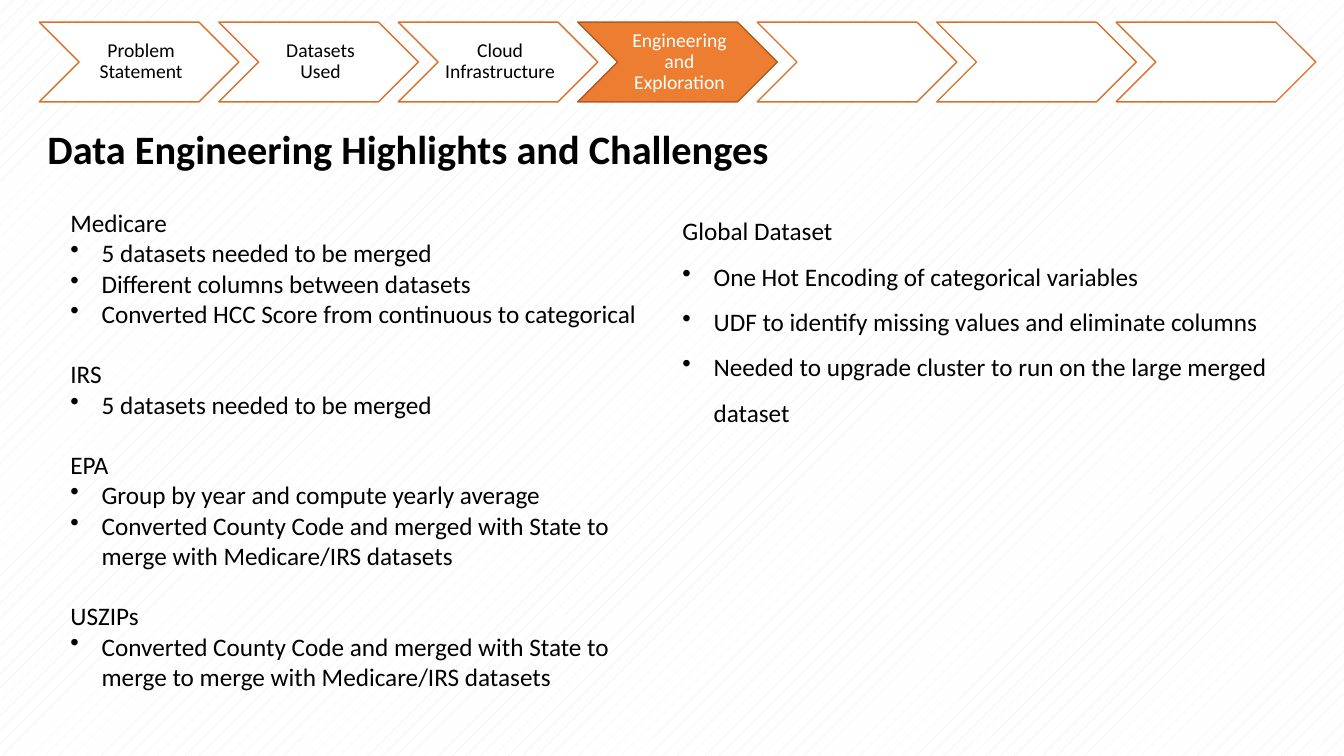
from lxml import etree
from pptx import Presentation
from pptx.dml.color import RGBColor
from pptx.enum.dml import MSO_PATTERN
from pptx.enum.shapes import MSO_SHAPE
from pptx.enum.text import MSO_ANCHOR, MSO_AUTO_SIZE, PP_ALIGN
from pptx.oxml.ns import qn
from pptx.util import Inches, Pt

CHEVRON = MSO_SHAPE.CHEVRON
DOTS = MSO_PATTERN.PERCENT_5
MIDDLE = MSO_ANCHOR.MIDDLE
GROW, FIXED = MSO_AUTO_SIZE.SHAPE_TO_FIT_TEXT, MSO_AUTO_SIZE.NONE
LEFT, CENTER = PP_ALIGN.LEFT, PP_ALIGN.CENTER

FONT = "Calibri"
COLORS = {
    "text": "000000",
    "white": "FFFFFF",
    "pattern": "E7E6E6",
    "step_line": "D7712C",
    "active_fill": "ED7D31",
    "active_line": "AF5C24",
}

STEPS = ["Problem Statement", "Datasets Used", "Cloud Infrastructure",
         "Engineering and Exploration", "", "", ""]
ACTIVE_STEP = 3

SOURCE_NOTES = [
    ("Medicare", ["5 datasets needed to be merged",
                  "Different columns between datasets",
                  "Converted HCC Score from continuous to categorical"]),
    ("IRS", ["5 datasets needed to be merged"]),
    ("EPA", ["Group by year and compute yearly average",
             "Converted County Code and merged with State to merge with Medicare/IRS datasets"]),
    ("USZIPs", ["Converted County Code and merged with State to merge to merge with Medicare/IRS datasets"]),
]
GLOBAL_NOTES = [
    ("Global Dataset", ["One Hot Encoding of categorical variables",
                        "UDF to identify missing values and eliminate columns",
                        "Needed to upgrade cluster to run on the large merged dataset"]),
]


def color(name):
    return RGBColor.from_string(COLORS[name])


def add_span(para, text, size, color_name="text", bold=False):
    span = para.add_run()
    span.text = text
    span.font.name = FONT
    span.font.size = Pt(size)
    span.font.bold = bold
    span.font.color.rgb = color(color_name)


def add_bullet(para):
    properties = para._p.get_or_add_pPr()
    properties.set("marL", str(Inches(0.31)))
    properties.set("indent", str(-Inches(0.31)))
    etree.SubElement(properties, qn("a:buChar")).set("char", "•")


def set_background(page):
    fill = page.background.fill
    fill.patterned()
    fill.pattern = DOTS
    fill.fore_color.rgb = color("pattern")
    fill.back_color.rgb = color("white")


def set_title(page, text):
    title = page.shapes.title
    title.left, title.top = Inches(0.37), Inches(1.23)
    title.width, title.height = Inches(7.69), Inches(0.55)
    frame = title.text_frame
    frame.auto_size = FIXED
    frame.vertical_anchor = MIDDLE
    para = frame.paragraphs[0]
    para.alignment = LEFT
    para.line_spacing = 0.9
    add_span(para, text, 28.8, bold=True)


def add_step(page, index, label):
    active = index == ACTIVE_STEP
    step = page.shapes.add_shape(CHEVRON, Inches(0.39 + 1.78 * index), Inches(0.22),
                                 Inches(1.98), Inches(0.79))
    step.shadow.inherit = False
    step.fill.solid()
    step.fill.fore_color.rgb = color("active_fill" if active else "white")
    step.line.color.rgb = color("active_line" if active else "step_line")
    step.line.width = Pt(1)
    if not label:
        return
    frame = step.text_frame
    frame.word_wrap = True
    frame.vertical_anchor = MIDDLE
    frame.margin_left = Inches(0.06)
    frame.margin_right = frame.margin_top = frame.margin_bottom = Inches(0.02)
    para = frame.paragraphs[0]
    para.alignment = CENTER
    para.line_spacing = 0.9
    add_span(para, label, 14, "white" if active else "text")


def add_notes_box(page, left, top, height, groups, line_spacing):
    box = page.shapes.add_textbox(Inches(left), Inches(top), Inches(6.17), Inches(height))
    frame = box.text_frame
    frame.word_wrap = True
    frame.auto_size = GROW
    for number, (heading, points) in enumerate(groups):
        para = frame.add_paragraph() if number else frame.paragraphs[0]
        para.line_spacing = line_spacing
        if number:
            para.space_before = Pt(21.6)
        add_span(para, heading, 18)
        for point in points:
            para = frame.add_paragraph()
            para.line_spacing = line_spacing
            add_bullet(para)
            add_span(para, point, 18)


def main():
    deck = Presentation()
    deck.slide_width, deck.slide_height = Inches(13.33), Inches(7.5)
    page = deck.slides.add_slide(deck.slide_layouts[5])
    set_background(page)
    set_title(page, "Data Engineering Highlights and Challenges")
    add_notes_box(page, 0.6, 2.01, 5.25, SOURCE_NOTES, 1.0)
    add_notes_box(page, 6.67, 1.94, 2.78, GLOBAL_NOTES, 1.5)
    for index, label in enumerate(STEPS):
        add_step(page, index, label)
    deck.save("out.pptx")


if __name__ == "__main__":
    main()
